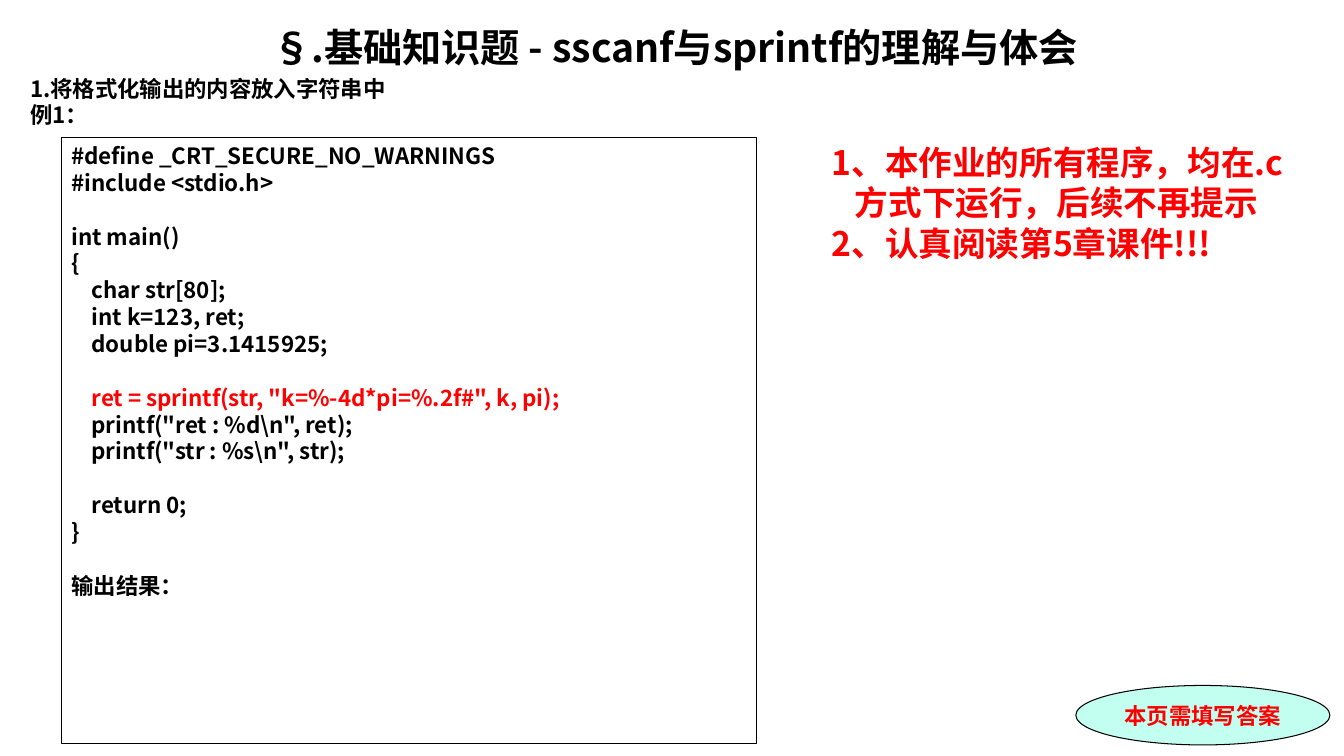
import pptx
import pptx.dml.color
import pptx.enum.shapes
import pptx.enum.text
import pptx.oxml
import pptx.oxml.ns
import pptx.util

BLACK = pptx.dml.color.RGBColor(0, 0, 0)
RED = pptx.dml.color.RGBColor(255, 0, 0)
MINT = pptx.dml.color.RGBColor(0xC2, 0xFF, 0xF0)
SANS = "Noto Sans CJK SC"
SERIF = "Times New Roman"
WIDTH, HEIGHT = 13.33, 7.5
CODE_SIZE = 16
CODE_LINE = CODE_SIZE * 1.2
CODE_INDENT = 0.2

CODE_BLOCKS = [
    ["#define _CRT_SECURE_NO_WARNINGS", "#include <stdio.h>"],
    ["int main()", "{", "    char str[80];", "    int k=123, ret;", "    double pi=3.1415925;"],
    ['    ret = sprintf(str, "k=%-4d*pi=%.2f#", k, pi);',
     '    printf("ret : %d\\n", ret);', '    printf("str : %s\\n", str);'],
    ["    return 0;", "}"],
    ["输出结果："],
]


def inches(box):
    """Convert a box of inches to lengths."""
    return [pptx.util.Inches(value) for value in box]


def style_paragraph(paragraph, size, color=BLACK, font=SANS):
    """Format every run of a paragraph in bold."""
    for run in paragraph.runs:
        run.font.size = pptx.util.Pt(size)
        run.font.bold = True
        run.font.name = font
        run.font.color.rgb = color
        east_asian = pptx.oxml.parse_xml(
            f'<a:ea {pptx.oxml.ns.nsdecls("a")} typeface="{SANS}"/>')
        run.font._element.find(pptx.oxml.ns.qn("a:latin")).addnext(east_asian)


def add_text(slide, box, lines):
    """Add a wrapping text box with one paragraph per line."""
    frame = slide.shapes.add_textbox(*inches(box)).text_frame
    frame.word_wrap = True
    frame.text = "\n".join(lines)
    return frame.paragraphs


def add_outlined(slide, kind, box):
    """Add a thinly outlined shape without a shadow."""
    shape = slide.shapes.add_shape(kind, *inches(box))
    shape.shadow.inherit = False
    shape.line.color.rgb = BLACK
    shape.line.width = pptx.util.Pt(0.75)
    shape.text_frame.word_wrap = True
    return shape


def add_heading(slide, box):
    """Place the centred title and the section lines below it."""
    title, section = add_text(slide, box, [
        "§.基础知识题 - sscanf与sprintf的理解与体会",
        "1.将格式化输出的内容放入字符串中\v例1："])
    title.alignment = pptx.enum.text.PP_ALIGN.CENTER
    style_paragraph(title, 28)
    section.space_before = pptx.util.Pt(3.2)
    style_paragraph(section, 16)


def add_code(slide, box):
    """Place the framed program, its blocks separated by one line."""
    shape = add_outlined(slide, pptx.enum.shapes.MSO_SHAPE.RECTANGLE, box)
    shape.fill.background()
    frame = shape.text_frame
    frame.vertical_anchor = pptx.enum.text.MSO_ANCHOR.TOP
    lines = [line for block in CODE_BLOCKS for line in block]
    frame.text = "\n".join(line.strip() for line in lines)
    block_starts = [block[0] for block in CODE_BLOCKS[1:]]
    for paragraph, line in zip(frame.paragraphs, lines):
        paragraph.alignment = pptx.enum.text.PP_ALIGN.LEFT
        if line in block_starts:
            paragraph.space_before = pptx.util.Pt(CODE_LINE)
        if line.startswith(" "):
            properties = paragraph._p.get_or_add_pPr()
            properties.set("marL", str(pptx.util.Inches(CODE_INDENT)))
        style_paragraph(paragraph, CODE_SIZE, RED if "sprintf" in line else BLACK)


def add_answer_badge(slide, box):
    """Place the oval reminder to fill in the answer."""
    shape = add_outlined(slide, pptx.enum.shapes.MSO_SHAPE.OVAL, box)
    shape.fill.solid()
    shape.fill.fore_color.rgb = MINT
    shape.text_frame.text = "本页需填写答案"
    paragraph = shape.text_frame.paragraphs[0]
    paragraph.alignment = pptx.enum.text.PP_ALIGN.CENTER
    style_paragraph(paragraph, 16, RED, SERIF)


def add_notice(slide, box):
    """Place the red homework instructions."""
    paragraphs = add_text(slide, box, [
        "1、本作业的所有程序，均在.c", "方式下运行，后续不再提示", "2、认真阅读第5章课件!!!"])
    paragraphs[1]._p.get_or_add_pPr().set("marL", str(pptx.util.Inches(0.23)))
    for paragraph in paragraphs:
        style_paragraph(paragraph, 24, RED)


def main():
    """Build and save the slide."""
    presentation = pptx.Presentation()
    presentation.slide_width, presentation.slide_height = inches((WIDTH, HEIGHT))
    slide = presentation.slides.add_slide(presentation.slide_layouts[6])
    add_heading(slide, (0.2, 0.18, 12.99, 7.09))
    add_code(slide, (0.61, 1.36, 6.89, 6.02))
    add_answer_badge(slide, (10.67, 6.8, 2.52, 0.59))
    add_notice(slide, (8.15, 1.36, 4.8, 1.37))
    presentation.save("out.pptx")


if __name__ == "__main__":
    main()
